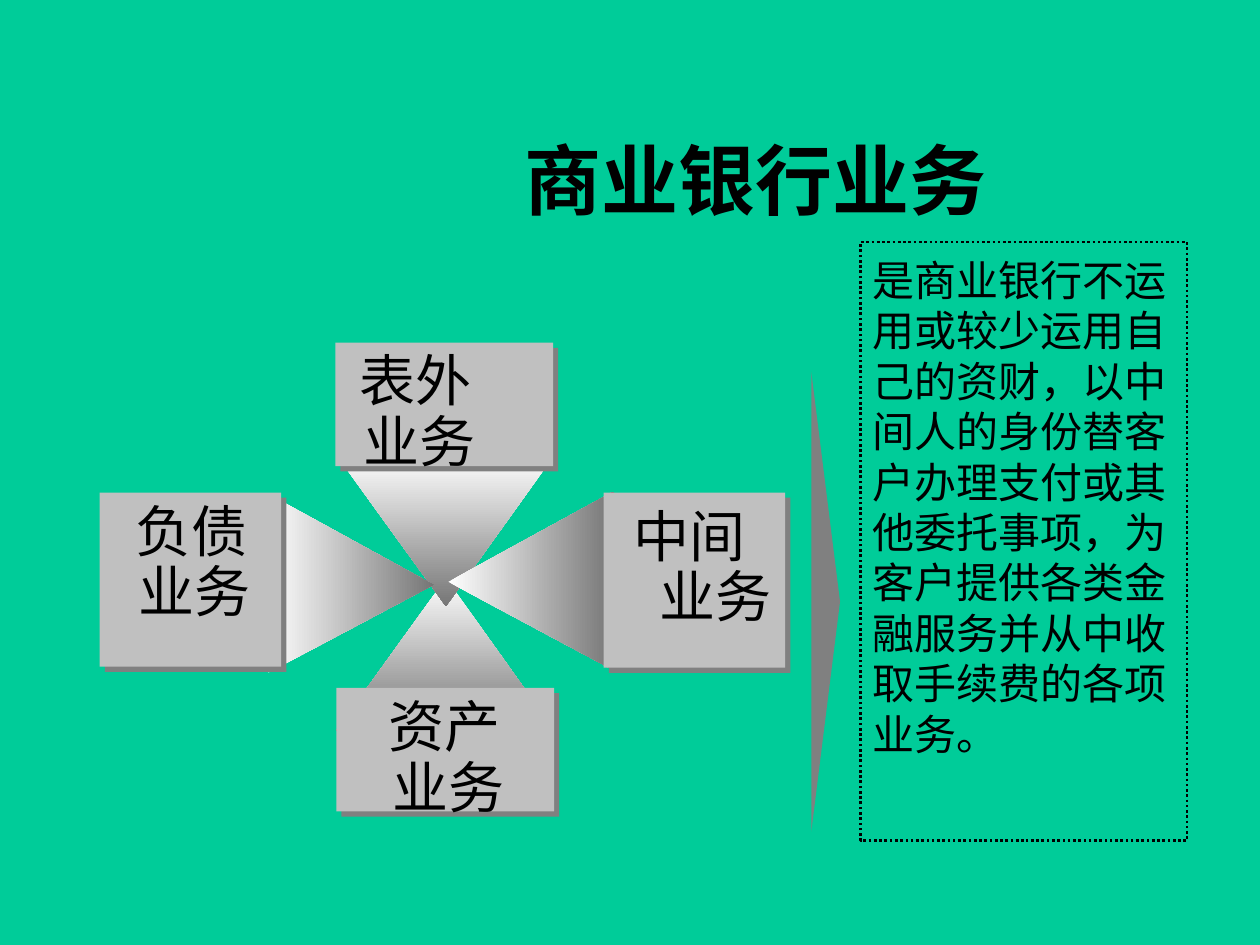
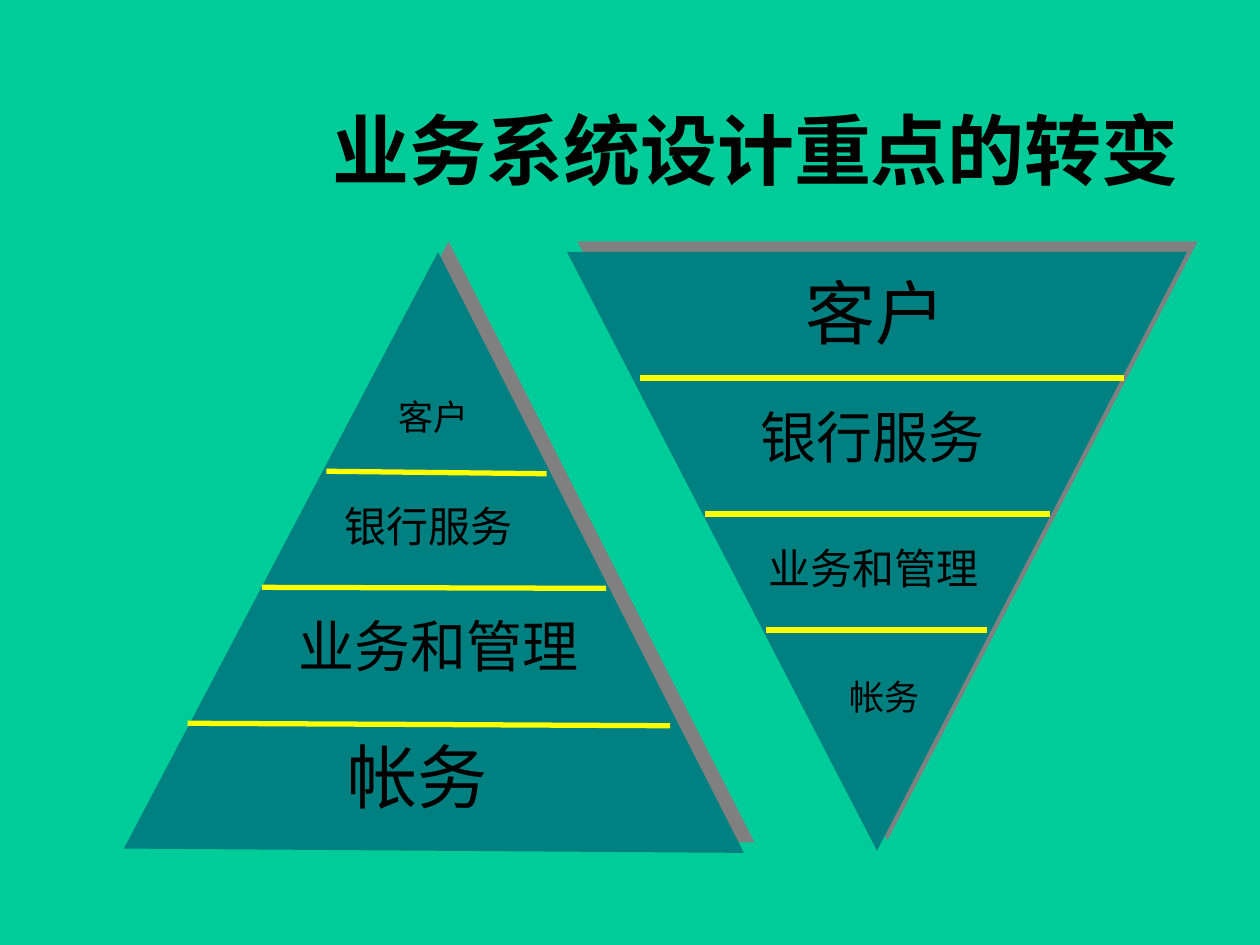
from dataclasses import dataclass

from lxml.etree import SubElement
from pptx import Presentation
from pptx.dml.color import RGBColor
from pptx.enum.dml import MSO_LINE
from pptx.enum.shapes import MSO_CONNECTOR, MSO_SHAPE
from pptx.enum.text import MSO_ANCHOR, PP_ALIGN
from pptx.oxml.ns import qn
from pptx.util import Cm, Pt


@dataclass(frozen=True)
class Theme:
    background: str = "00CC99"
    text: str = "000000"
    box: str = "C0C0C0"
    shadow: str = "808080"
    pyramid: str = "008080"
    divider: str = "FFFF00"
    gradient: tuple = ("FFFFFF", "767676")
    title_font: str = "Montserrat"
    body_font: str = "Times New Roman"
    title_size: int = 44
    label_size: int = 32
    body_size: int = 24
    layer_sizes: tuple = (40, 32, 24, 20)


class Deck:
    def __init__(self, theme):
        self.theme = theme
        self.presentation = Presentation()
        self.presentation.slide_width = Cm(25.4)
        self.presentation.slide_height = Cm(19.05)
        self.slide = None

    def new_slide(self):
        self.slide = self.presentation.slides.add_slide(self.presentation.slide_layouts[6])
        fill = self.slide.background.fill
        fill.solid()
        fill.fore_color.rgb = RGBColor.from_string(self.theme.background)

    def text(self, left, top, width, height, lines, size, font=None, bold=False,
             align=PP_ALIGN.LEFT, anchor=MSO_ANCHOR.TOP, inset=0.0, hang=0.0, spacing=None):
        shape = self.slide.shapes.add_textbox(Cm(left), Cm(top), Cm(width), Cm(height))
        frame = shape.text_frame
        frame.word_wrap = True
        frame.vertical_anchor = anchor
        frame.margin_left = frame.margin_right = 0
        frame.margin_top = frame.margin_bottom = Cm(inset)
        paragraph = frame.paragraphs[0]
        paragraph.alignment = align
        if spacing:
            paragraph.line_spacing = spacing
        if hang:
            properties = paragraph._p.get_or_add_pPr()
            properties.set("marL", str(Cm(hang)))
            properties.set("indent", str(-Cm(hang)))
        for index, line in enumerate(lines):
            if index:
                paragraph.add_line_break()
            run = paragraph.add_run()
            run.text = line
            run.font.name = font or self.theme.body_font
            run.font.size = Pt(size)
            run.font.bold = bold
            run.font.color.rgb = RGBColor.from_string(self.theme.text)

    def title(self, top, words):
        self.text(6.35, top, 17.78, 2.54, [words], self.theme.title_size,
                  self.theme.title_font, True, PP_ALIGN.CENTER, MSO_ANCHOR.MIDDLE)

    def shape(self, kind, left, top, width, height, color=None, rotation=0, shadow=None):
        shape = self.slide.shapes.add_shape(kind, Cm(left), Cm(top), Cm(width), Cm(height))
        shape.rotation = rotation
        shape.shadow.inherit = False
        shape.line.fill.background()
        if color:
            shape.fill.solid()
            shape.fill.fore_color.rgb = RGBColor.from_string(color)
        else:
            shape.fill.background()
        if shadow:
            self.cast_shadow(shape, *shadow)
        return shape

    def cast_shadow(self, shape, distance, degrees):
        effects = shape._element.spPr.find(qn("a:effectLst"))
        outer = SubElement(effects, qn("a:outerShdw"), blurRad="0", dist=str(Pt(distance)),
                           dir=str(degrees * 60000), algn="ctr", rotWithShape="0")
        SubElement(outer, qn("a:srgbClr"), val=self.theme.shadow)

    def dotted_frame(self, left, top, width, height):
        shape = self.shape(MSO_SHAPE.RECTANGLE, left, top, width, height)
        shape.line.color.rgb = RGBColor.from_string(self.theme.text)
        shape.line.width = Pt(1.5)
        shape.line.dash_style = MSO_LINE.ROUND_DOT

    def beam(self, points, angle):
        start, *others = [(Cm(x), Cm(y)) for x, y in points]
        builder = self.slide.shapes.build_freeform(*start, scale=1.0)
        builder.add_line_segments(others, close=True)
        shape = builder.convert_to_shape()
        shape.shadow.inherit = False
        shape.line.fill.background()
        shape.fill.gradient()
        shape.fill.gradient_angle = angle
        for position, (stop, color) in enumerate(zip(shape.fill.gradient_stops, self.theme.gradient)):
            stop.position = position
            stop.color.rgb = RGBColor.from_string(color)

    def divider(self, x1, y1, x2, y2):
        connector = self.slide.shapes.add_connector(
            MSO_CONNECTOR.STRAIGHT, Cm(x1), Cm(y1), Cm(x2), Cm(y2))
        connector.line.color.rgb = RGBColor.from_string(self.theme.divider)
        connector.line.width = Pt(3)
        SubElement(connector._element.spPr, qn("a:effectLst"))

    def business_box(self, left, top, width, height, lines, label_left, label_top, hang):
        self.shape(MSO_SHAPE.RECTANGLE, left, top, width, height, self.theme.box, shadow=(4.2, 45))
        self.text(label_left, label_top, 3.4, 2.72, lines, self.theme.label_size,
                  inset=0.13, hang=hang, spacing=0.9)

    def pyramid(self, kind, left, rotation, dividers, layers, sizes):
        self.shape(kind, left, 5.08, 12.5, 12.07, self.theme.pyramid, rotation, (8.5, 315))
        for ends in dividers:
            self.divider(*ends)
        width = 7
        for (words, center, top), size in zip(layers, sizes):
            self.text(center - width / 2, top, width, 1.6, [words], size,
                      align=PP_ALIGN.CENTER, inset=0.13)


def build_business_slide(deck):
    deck.new_slide()
    deck.title(2.34, "商业银行业务")
    downward, rightward = 270, 0
    for points, angle in (
        ([(8.99, 11.66), (6.78, 14.73), (11.18, 14.73)], downward),
        ([(8.99, 12.22), (6.78, 9.17), (11.18, 9.17)], downward),
        ([(9.04, 11.73), (12.37, 9.91), (12.37, 13.51)], rightward),
        ([(8.74, 11.79), (5.41, 9.96), (5.41, 13.56)], rightward),
    ):
        deck.beam(points, angle)
    for box in (
        (2.01, 9.93, 3.66, 3.51, ["负债", "业务"], 2.74, 10.03, 0.06),
        (12.17, 9.93, 3.66, 3.53, ["中间", "业务"], 12.78, 10.13, 0.52),
        (6.76, 6.91, 4.39, 2.49, ["表外", "业务"], 7.24, 6.99, 0.08),
        (6.78, 13.87, 4.39, 2.49, ["资产", "业务"], 7.84, 13.97, 0.08),
    ):
        deck.business_box(*box)
    deck.shape(MSO_SHAPE.FLOWCHART_MERGE, 12.01, 11.84, 9.27, 0.58, deck.theme.shadow, 270)
    definition = ("是商业银行不运用或较少运用自己的资财，以中间人的身份替客户办理支付"
                  "或其他委托事项，为客户提供各类金融服务并从中收取手续费的各项业务。")
    deck.text(17.58, 5.08, 6.55, 10.26, [definition], deck.theme.body_size,
              anchor=MSO_ANCHOR.MIDDLE)
    deck.dotted_frame(17.35, 4.88, 6.58, 12.07)


def build_design_shift_slide(deck):
    deck.new_slide()
    names = ["客户", "银行服务", "业务和管理", "帐务"]
    sizes = deck.theme.layer_sizes
    deck.pyramid(
        MSO_SHAPE.FLOWCHART_MERGE, 11.43, 0,
        [(12.9, 7.62, 22.66, 7.62), (14.22, 10.36, 21.16, 10.36), (15.44, 12.7, 19.89, 12.7)],
        zip(names, (17.65, 17.6, 17.6, 17.83), (5.31, 7.98, 10.8, 13.49)), sizes)
    deck.pyramid(
        MSO_SHAPE.ISOSCELES_TRIANGLE, 2.54, 0.4,
        [(3.78, 14.58, 13.51, 14.63), (5.28, 11.84, 12.22, 11.86), (6.58, 9.5, 11.02, 9.55)],
        zip(names, (8.74, 8.64, 8.84, 8.41), (7.85, 9.96, 12.19, 14.66)), sizes[::-1])
    deck.title(1.73, "业务系统设计重点的转变")


def main():
    deck = Deck(Theme())
    build_business_slide(deck)
    build_design_shift_slide(deck)
    deck.presentation.save("out.pptx")


if __name__ == "__main__":
    main()
